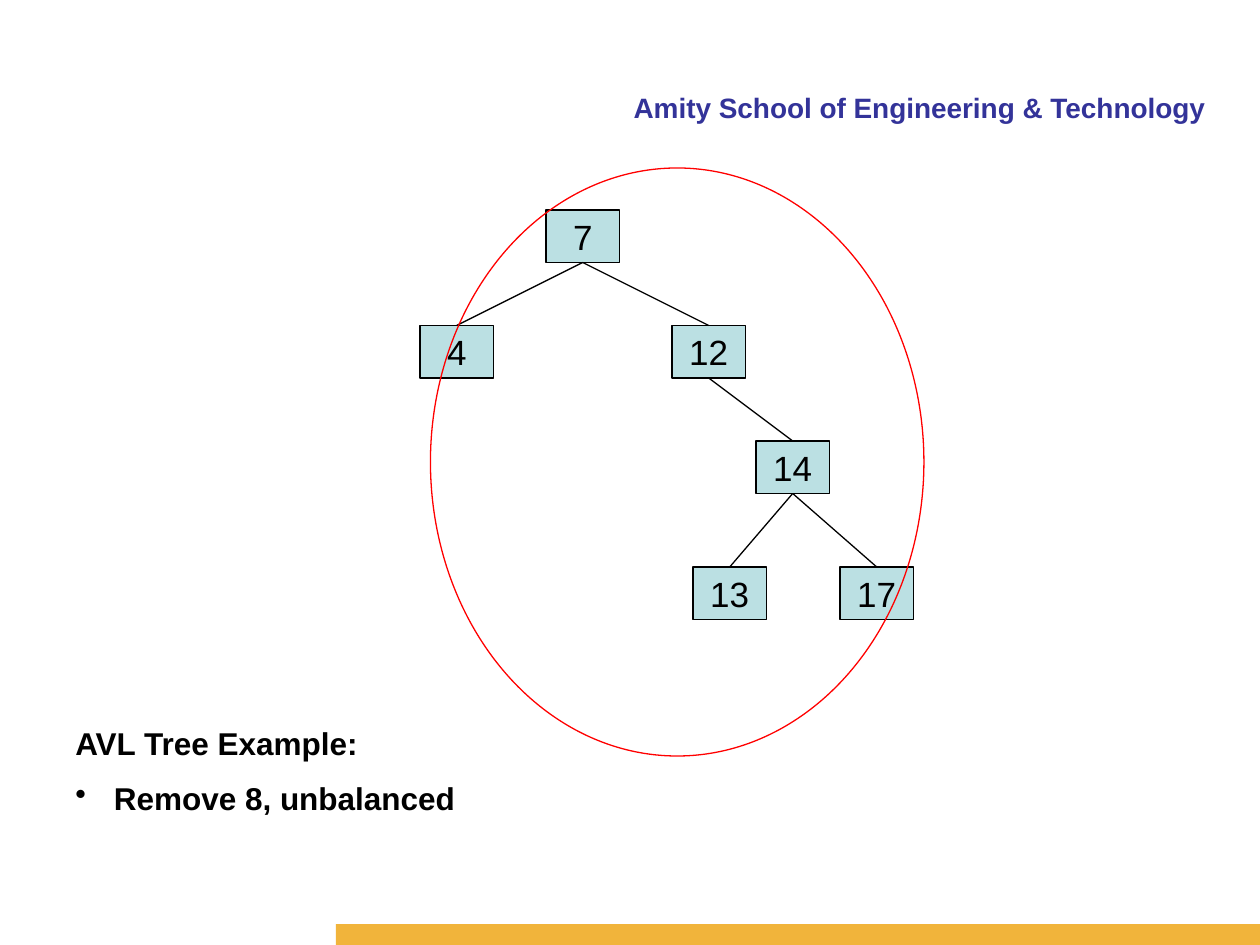
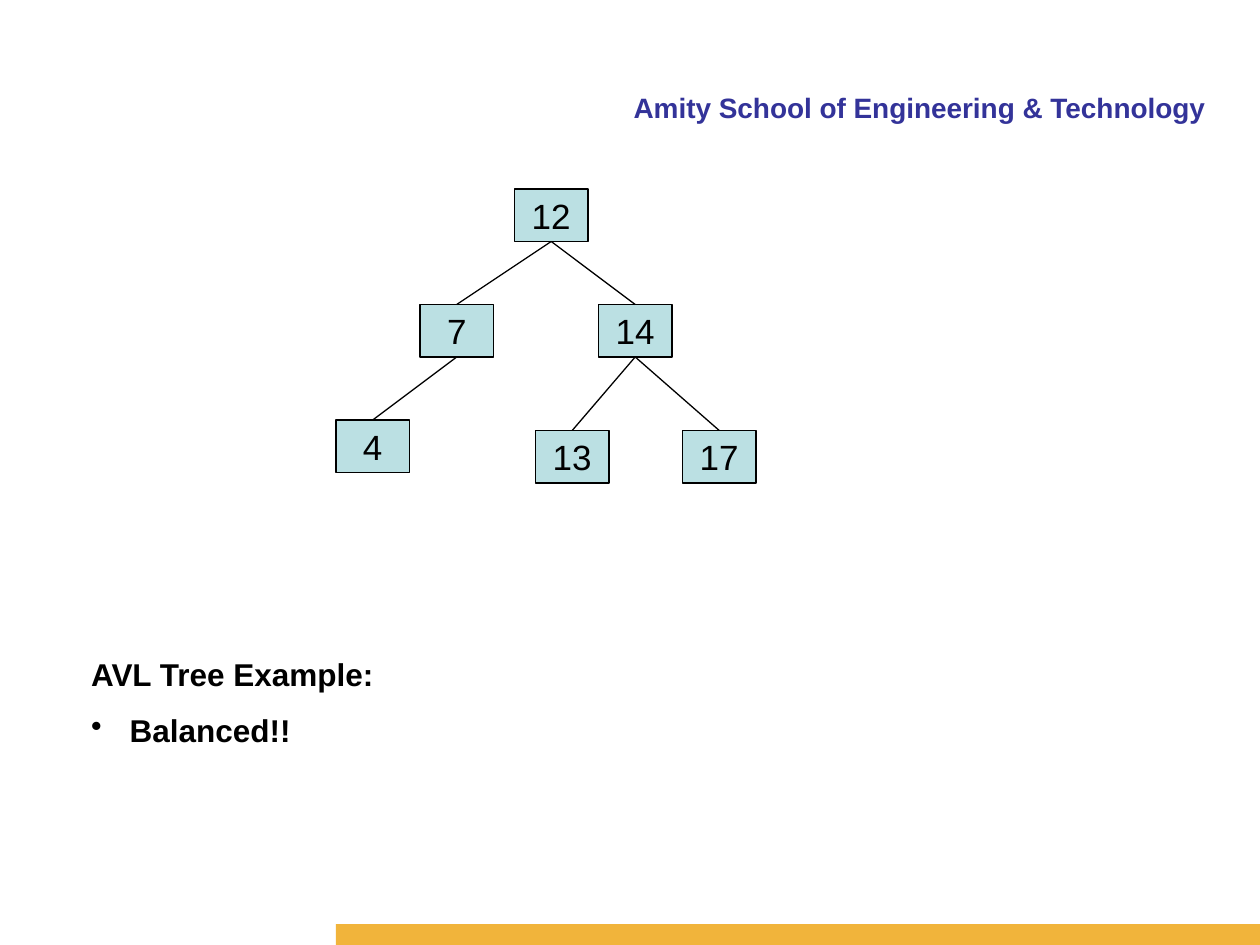
from dataclasses import dataclass

from lxml import etree
from pptx import Presentation
from pptx.dml.color import RGBColor
from pptx.enum import shapes, text
from pptx.oxml import ns
from pptx.util import Pt


@dataclass(frozen=True)
class Theme:
    font: str = "Arial"
    ink: RGBColor = RGBColor(0x00, 0x00, 0x00)
    school: RGBColor = RGBColor(0x33, 0x33, 0x99)
    band: RGBColor = RGBColor(0xF1, 0xB4, 0x3B)
    node: RGBColor = RGBColor(0xBB, 0xE0, 0xE3)
    highlight: RGBColor = RGBColor(0xFF, 0x00, 0x00)
    school_size: int = 16
    caption_size: int = 18
    node_size: int = 20
    line_width: float = 0.75


theme = Theme()
NODE_WIDTH, NODE_HEIGHT = 42, 30
BULLET_INDENT = 22
BOTTOM, TOP = 2, 0  # connection sites of a rectangle

# Each tree: key -> (left, top), then parent-child edges
steps = [
    {
        "caption": "Remove 8, unbalanced",
        "caption_at": (36, 410),
        "nodes": {7: (312, 120), 4: (240, 186), 12: (384, 186),
                  14: (432, 252), 13: (396, 324), 17: (480, 324)},
        "edges": [(7, 4), (7, 12), (12, 14), (14, 13), (14, 17)],
        "unbalanced_area": (246, 96, 282, 336),
    },
    {
        "caption": "Balanced!!",
        "caption_at": (45, 371),
        "nodes": {12: (294, 108), 7: (240, 174), 14: (342, 174),
                  4: (192, 240), 13: (306, 246), 17: (390, 246)},
        "edges": [(12, 7), (12, 14), (7, 4), (14, 13), (14, 17)],
        "unbalanced_area": None,
    },
]


def style(paragraph, size, color, bold=False):
    font = paragraph.font
    font.name, font.size, font.bold = theme.font, Pt(size), bold
    font.color.rgb = color


def add_outline(slide, kind, box, fill=None, line=None):
    shape = slide.shapes.add_shape(kind, *map(Pt, box))
    shape.shadow.inherit = False
    if fill is None:
        shape.fill.background()
    else:
        shape.fill.solid()
        shape.fill.fore_color.rgb = fill
    if line is None:
        shape.line.fill.background()
    else:
        shape.line.color.rgb = line
        shape.line.width = Pt(theme.line_width)
    return shape


deck = Presentation()
deck.slide_width, deck.slide_height = Pt(720), Pt(540)

for step in steps:
    slide = deck.slides.add_slide(deck.slide_layouts[6])

    # School name and footer band
    school = slide.shapes.add_textbox(Pt(294), Pt(48), Pt(402), Pt(24)).text_frame
    school.word_wrap = True
    school_line = school.paragraphs[0]
    school_line.text = "Amity School of Engineering & Technology"
    school_line.alignment = text.PP_ALIGN.RIGHT
    style(school_line, theme.school_size, theme.school, bold=True)
    add_outline(slide, shapes.MSO_SHAPE.RECTANGLE, (192, 528, 528, 12), theme.band)

    # Caption with one bullet
    left, top = step["caption_at"]
    caption = slide.shapes.add_textbox(Pt(left), Pt(top), Pt(606), Pt(61)).text_frame
    caption.word_wrap = True
    heading = caption.paragraphs[0]
    heading.text = "AVL Tree Example:"
    point = caption.add_paragraph()
    point.text = step["caption"]
    point.space_before = Pt(10)
    properties = point._p.get_or_add_pPr()
    properties.set("marL", str(Pt(BULLET_INDENT)))
    properties.set("indent", str(-Pt(BULLET_INDENT)))
    etree.SubElement(properties, ns.qn("a:buChar")).set("char", "•")
    for paragraph in (heading, point):
        style(paragraph, theme.caption_size, theme.ink, bold=True)

    # Tree nodes
    nodes = {}
    for key, corner in step["nodes"].items():
        node = add_outline(slide, shapes.MSO_SHAPE.RECTANGLE,
                           (*corner, NODE_WIDTH, NODE_HEIGHT), theme.node, theme.ink)
        node.text_frame.word_wrap = False
        node.text_frame.vertical_anchor = text.MSO_ANCHOR.MIDDLE
        label = node.text_frame.paragraphs[0]
        label.text = str(key)
        label.alignment = text.PP_ALIGN.CENTER
        style(label, theme.node_size, theme.ink)
        nodes[key] = node

    # Tree edges
    for parent, child in step["edges"]:
        edge = slide.shapes.add_connector(shapes.MSO_CONNECTOR.STRAIGHT, 0, 0, 0, 0)
        edge.begin_connect(nodes[parent], BOTTOM)
        edge.end_connect(nodes[child], TOP)
        edge.line.color.rgb = theme.ink
        edge.line.width = Pt(theme.line_width)
        etree.SubElement(edge._element.spPr, ns.qn("a:effectLst"))

    # Ring around the unbalanced part
    if step["unbalanced_area"]:
        add_outline(slide, shapes.MSO_SHAPE.OVAL, step["unbalanced_area"],
                    line=theme.highlight)

deck.save("out.pptx")
